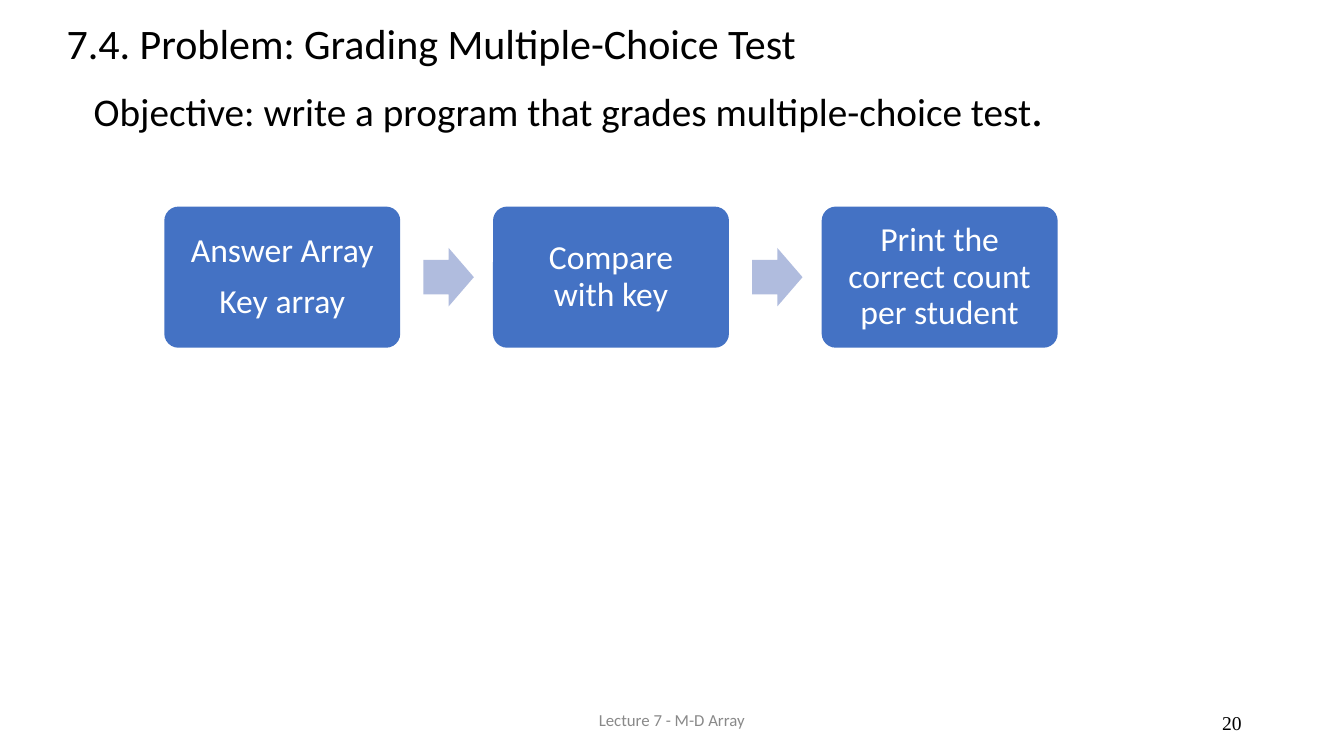
from pptx import Presentation
from pptx.dml.color import RGBColor
from pptx.enum.shapes import MSO_SHAPE
from pptx.enum.text import MSO_ANCHOR, MSO_AUTO_SIZE, PP_ALIGN
from pptx.util import Inches, Pt

ROUNDED, ARROW = MSO_SHAPE.ROUNDED_RECTANGLE, MSO_SHAPE.RIGHT_ARROW
TOP, MIDDLE = MSO_ANCHOR.TOP, MSO_ANCHOR.MIDDLE
LEFT, CENTER = PP_ALIGN.LEFT, PP_ALIGN.CENTER
NO_FIT = MSO_AUTO_SIZE.NONE
COLORS = {"text": "000000", "box": "4472C4", "arrow": "B0BCDE",
          "light": "FFFFFF", "footer": "898989"}


class Deck:
    """Holds the style and the current slide."""
    font = "Calibri"

    def __init__(self):
        self.prs = Presentation()
        self.prs.slide_width, self.prs.slide_height = Inches(13.33), Inches(7.5)
        self.s = self.prs.slides.add_slide(self.prs.slide_layouts[5])

    def frame(self, sp, anchor=TOP, inset=0):
        tf = sp.text_frame
        tf.word_wrap, tf.auto_size, tf.vertical_anchor = True, NO_FIT, anchor
        tf.margin_left = tf.margin_right = Inches(inset)
        tf.margin_top = tf.margin_bottom = Inches(0.01)
        return tf

    def run(self, p, text, size, color="text", font=None):
        r = p.add_run()
        r.text = text
        r.font.size, r.font.name = Pt(size), font or self.font
        r.font.color.rgb = RGBColor.from_string(COLORS[color])

    def title(self, x, y, w, h, text, size):
        sp = self.s.shapes.title
        sp.left, sp.top, sp.width, sp.height = map(Inches, (x, y, w, h))
        p = self.frame(sp).paragraphs[0]
        p.alignment = LEFT
        self.run(p, text, size)

    def text(self, x, y, w, h, runs, color="text", font=None):
        sp = self.s.shapes.add_textbox(*map(Inches, (x, y, w, h)))
        p = self.frame(sp).paragraphs[0]
        for text, size in runs:
            self.run(p, text, size, color, font)

    def shape(self, kind, x, y, w, h, color, adjustments):
        sp = self.s.shapes.add_shape(kind, *map(Inches, (x, y, w, h)))
        for i, value in enumerate(adjustments):
            sp.adjustments[i] = value
        sp.shadow.inherit = False
        sp.fill.solid()
        sp.fill.fore_color.rgb = RGBColor.from_string(COLORS[color])
        sp.line.fill.background()
        return sp

    def step(self, x, y, w, h, paragraphs):
        sp = self.shape(ROUNDED, x, y, w, h, "box", [0.1])
        tf = self.frame(sp, MIDDLE, 0.2)
        for i, text in enumerate(paragraphs):
            p = tf.add_paragraph() if i else tf.paragraphs[0]
            p.alignment, p.line_spacing = CENTER, 0.9
            p.space_before = Pt(11 if i else 0)
            self.run(p, text, 24, "light")

    def arrow(self, x, y, w, h):
        self.shape(ARROW, x, y, w, h, "arrow", [0.59, 0.5])


def main():
    deck = Deck()

    # Title and objective
    deck.title(0.66, 0.16, 7.6, 0.53,
               "7.4. Problem: Grading Multiple-Choice Test", 30)
    deck.text(0.93, 0.77, 9.8, 0.59, [
        ("Objective: write a program that grades multiple-choice test", 28),
        (".", 34)])

    # Process steps with an arrow after each but the last
    steps = [["Answer Array", "Key array"], ["Compare with key"],
             ["Print the correct count per student"]]
    for i, paragraphs in enumerate(steps):
        x = 1.63 + 3.26 * i
        deck.step(x, 2.05, 2.34, 1.4, paragraphs)
        if i < len(steps) - 1:
            deck.arrow(x + 2.57, 2.46, 0.5, 0.58)

    # Footer and slide number
    deck.text(5.94, 7.03, 1.7, 0.23, [("Lecture 7 - M-D Array", 12)], "footer")
    deck.text(12.12, 7.04, 0.29, 0.24, [("20", 14)], font="Times New Roman")

    deck.prs.save("out.pptx")


if __name__ == "__main__":
    main()
